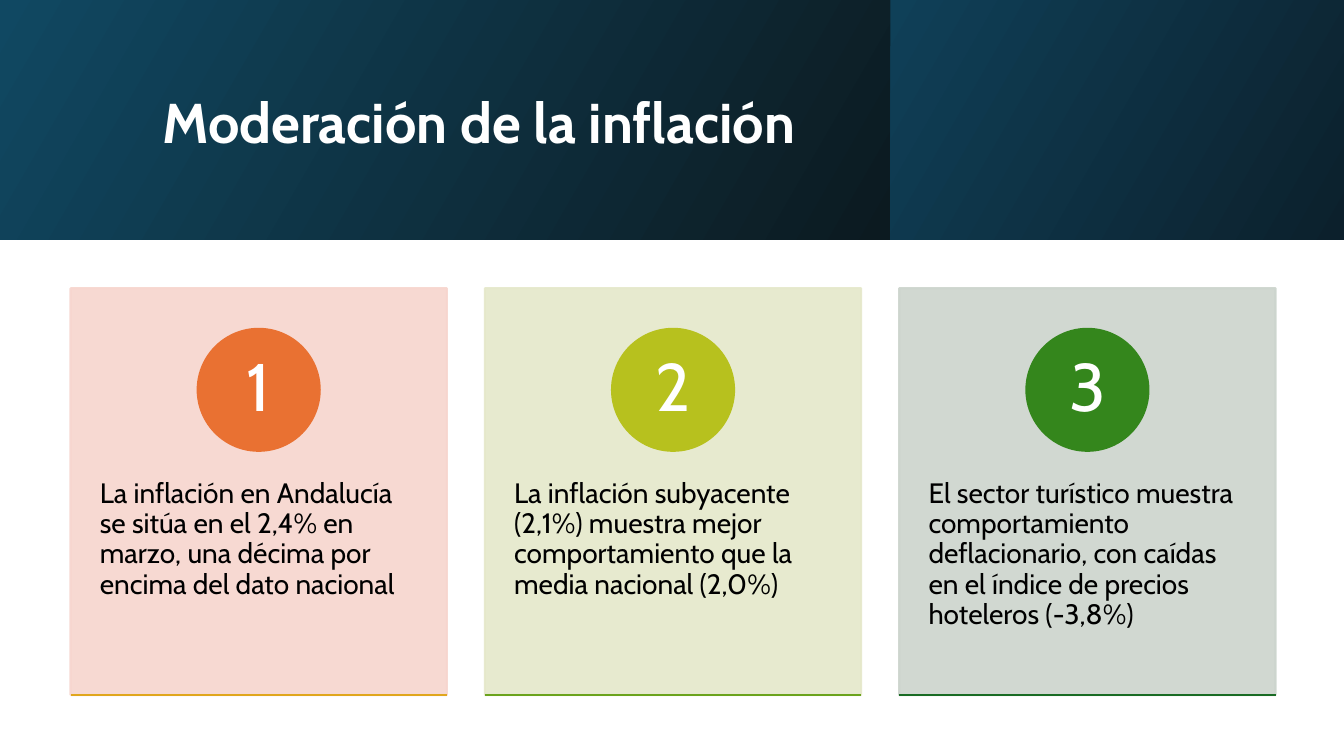
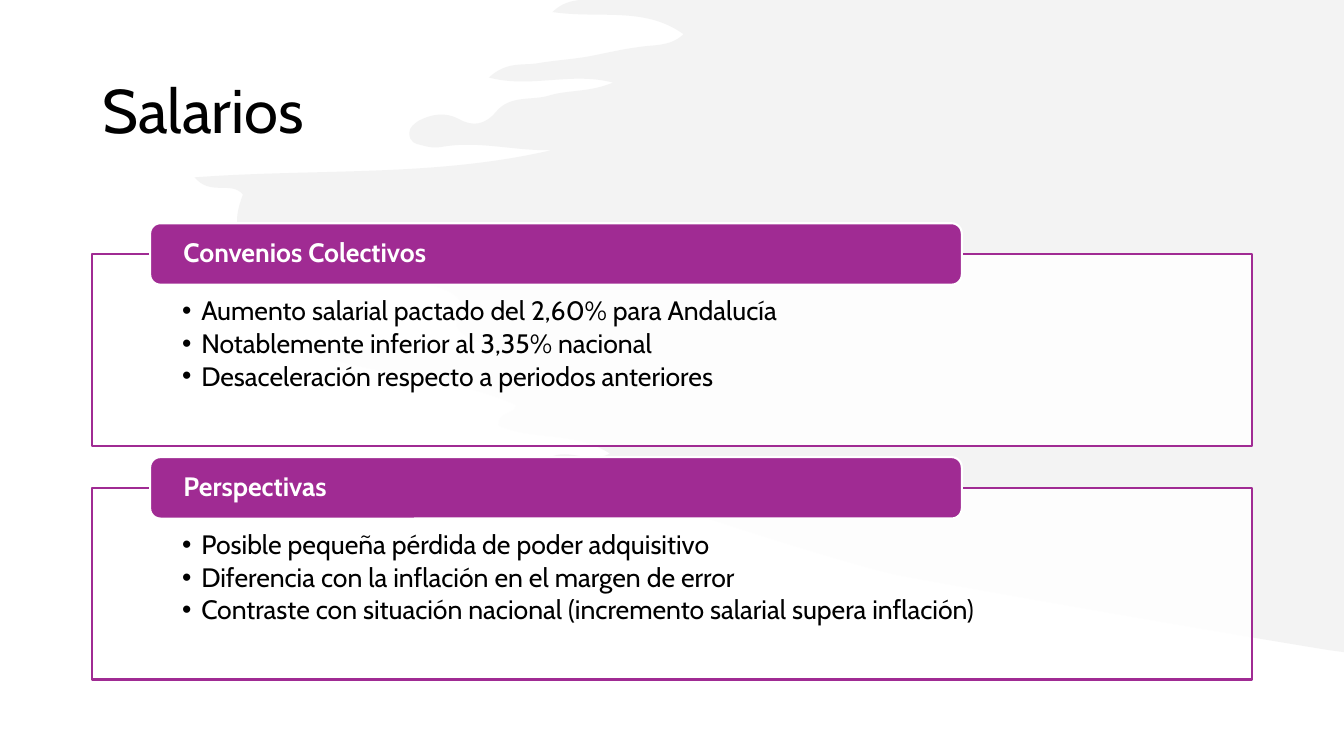
from lxml.etree import SubElement
from pptx import Presentation
from pptx.dml.color import RGBColor
from pptx.enum.shapes import MSO_CONNECTOR, MSO_SHAPE
from pptx.enum.text import MSO_ANCHOR, PP_ALIGN
from pptx.oxml.ns import qn
from pptx.util import Emu, Inches, Pt


class Theme:
    font, bullet_font = "Cabin", "Arial"
    white, black = "FFFFFF", "000000"
    purple, brush = "A02B93", "E8E8E8"
    card_size, number_size, list_size = 20, 48, 19
    line = 1.5
    leading = 0.9


# Content
INFLATION = {
    "title": "Moderación de la inflación",
    # text, card colour, circle colour, base line colour
    "cards": [
        ("La inflación en Andalucía se sitúa en el 2,4% en marzo, una décima "
         "por encima del dato nacional", "F7D5CE", "E97132", "E0A61D"),
        ("La inflación subyacente (2,1%) muestra mejor comportamiento que la "
         "media nacional (2,0%)", "E5E8CA", "B7C11E", "6BA31D"),
        ("El sector turístico muestra comportamiento deflacionario, con caídas "
         "en el índice de precios hoteleros (-3,8%)",
         "CCD4CD", "34861C", "196B24"),
    ],
}
WAGES = {
    "title": "Salarios",
    "sections": [
        ("Convenios Colectivos", [
            "Aumento salarial pactado del 2,60% para Andalucía",
            "Notablemente inferior al 3,35% nacional",
            "Desaceleración respecto a periodos anteriores"]),
        ("Perspectivas", [
            "Posible pequeña pérdida de poder adquisitivo",
            "Diferencia con la inflación en el margen de error",
            "Contraste con situación nacional (incremento salarial supera "
            "inflación)"]),
    ],
}
# Left, width, first colour, last colour of the title band's panels
PANELS = [(0, 66.25, "104862", "0C1A20"), (66.25, 33.75, "0F4058", "0C202C")]
BAND_HEIGHT = 31.7

# Brush stroke in inches: start, then curves (two controls and an end)
BRUSH_START = (5.75, 0)
BRUSH_CURVES = [
    (5.67, 0.01, 5.57, 0.03, 5.48, 0.12), (5.95, 0.19, 6.39, 0.06, 6.78, 0.34),
    (6.64, 0.47, 6.48, 0.44, 6.32, 0.47), (6.16, 0.49, 6, 0.53, 5.84, 0.56),
    (5.67, 0.59, 5.49, 0.6, 5.32, 0.63), (5.18, 0.65, 5.02, 0.61, 4.85, 0.77),
    (5.27, 0.88, 5.66, 0.71, 6.08, 0.82), (5.84, 0.92, 5.63, 0.89, 5.44, 0.95),
    (5.27, 1, 5.06, 0.94, 4.92, 1.11), (4.81, 1.24, 4.69, 1.26, 4.55, 1.18),
    (4.42, 1.11, 4.28, 1.13, 4.15, 1.2), (4.11, 1.23, 4.06, 1.26, 4.06, 1.32),
    (4.06, 1.41, 4.12, 1.43, 4.18, 1.44), (4.24, 1.46, 4.31, 1.47, 4.37, 1.46),
    (4.74, 1.39, 5.1, 1.5, 5.47, 1.49), (4.31, 1.76, 3.14, 1.67, 1.93, 1.76),
    (2.09, 1.95, 2.29, 1.79, 2.41, 1.93), (2.3, 2.22, 2.34, 2.37, 2.58, 2.39),
    (2.8, 2.41, 3.04, 2.31, 3.16, 2.65), (3.2, 2.76, 3.41, 2.73, 3.55, 2.75),
    (3.84, 2.79, 4.14, 2.75, 4.42, 2.88), (4.53, 2.93, 4.6, 2.97, 4.55, 3.11),
    (4.49, 3.25, 4.56, 3.3, 4.66, 3.36), (4.73, 3.4, 4.83, 3.39, 4.89, 3.52),
    (4.28, 3.5, 3.69, 3.4, 3.09, 3.5), (3.75, 3.74, 4.47, 3.73, 5.12, 4.02),
    (5.1, 4.12, 4.95, 4.07, 4.94, 4.22), (5.28, 4.38, 5.69, 4.27, 6.05, 4.5),
    (5.84, 4.61, 5.65, 4.44, 5.45, 4.54), (5.52, 4.69, 8.4, 5.61, 8.92, 5.71),
    (9.78, 5.87, 11.95, 6.25, 13.18, 6.45),
]
BRUSH_END = [(13.33, 6.47), (13.33, 0)]

prs = Presentation()
prs.slide_width, prs.slide_height = Inches(13.33), Inches(7.5)


def at(x, y, w, h):
    """Turn percentages of the slide into lengths."""
    sw, sh = prs.slide_width / 100, prs.slide_height / 100
    return Emu(int(x * sw)), Emu(int(y * sh)), Emu(int(w * sw)), Emu(int(h * sh))


def rgb(color):
    return RGBColor.from_string(color)


def paint(sp, fill, line=None, alpha=100):
    sp.shadow.inherit = False
    sp.fill.solid()
    sp.fill.fore_color.rgb = rgb(fill)
    if line:
        sp.line.color.rgb = rgb(line)
        sp.line.width = Pt(Theme.line)
    else:
        sp.line.fill.background()
    if alpha < 100:
        for color in sp._element.spPr.iter(qn("a:srgbClr")):
            if color.get("val") == fill:
                SubElement(color, qn("a:alpha"), val=str(alpha * 1000))
    return sp


def add_box(slide, kind, place, fill, **look):
    return paint(slide.shapes.add_shape(kind, *at(*place)), fill, **look)


def add_text(slide, place, *texts, size, color=Theme.black, bold=False, after=0,
             align=PP_ALIGN.LEFT, anchor=MSO_ANCHOR.MIDDLE,
             inset=(0.1, 0.05, 0.1, 0.05), bullet=None):
    tf = slide.shapes.add_textbox(*at(*place)).text_frame
    tf.word_wrap = True
    tf.vertical_anchor = anchor
    (tf.margin_left, tf.margin_top,
     tf.margin_right, tf.margin_bottom) = map(Inches, inset)
    for i, text in enumerate(texts):
        p = tf.add_paragraph() if i else tf.paragraphs[0]
        p.alignment, p.line_spacing = align, Theme.leading
        p.space_after = Pt(size * after)
        if bullet:
            p.level = 1
            pPr = p._p.get_or_add_pPr()
            pPr.set("marL", str(Inches(0.19)))
            pPr.set("indent", str(-Inches(0.19)))
            SubElement(pPr, qn("a:buFont"), typeface=Theme.bullet_font)
            SubElement(pPr, qn("a:buChar"), char=bullet)
        r = p.add_run()
        r.text = text
        r.font.name, r.font.size, r.font.bold = Theme.font, Pt(size), bold
        r.font.color.rgb = rgb(color)


def add_rule(slide, x, y, w, color):
    left, top, width, _ = at(x, y, w, 0)
    rule = slide.shapes.add_connector(
        MSO_CONNECTOR.STRAIGHT, left, top, left + width, top)
    rule.line.color.rgb, rule.line.width = rgb(color), Pt(Theme.line)
    SubElement(rule._element.spPr, qn("a:effectLst"))


def add_brush(slide):
    ends = [c[4:] for c in BRUSH_CURVES] + BRUSH_END
    builder = slide.shapes.build_freeform(*map(Inches, BRUSH_START))
    builder.add_line_segments([tuple(map(Inches, end)) for end in ends])
    sp = paint(builder.convert_to_shape(), Theme.brush, alpha=50)
    # Bend the segments: put two control points before each curve's end
    segments = list(sp._element.iter(qn("a:lnTo")))
    for segment, (x1, y1, x2, y2, *_) in zip(segments, BRUSH_CURVES):
        segment.tag = qn("a:cubicBezTo")
        for i, (x, y) in enumerate([(x1, y1), (x2, y2)]):
            control = SubElement(segment, qn("a:pt"),
                                 x=str(Inches(x) - sp.left),
                                 y=str(Inches(y) - sp.top))
            segment.insert(i, control)


def add_band(slide):
    for x, w, *colors in PANELS:
        sp = add_box(slide, MSO_SHAPE.RECTANGLE, (x, 0, w, BAND_HEIGHT),
                     colors[0])
        sp.fill.gradient()
        sp.fill.gradient_angle = 330
        for stop, color, position in zip(sp.fill.gradient_stops, colors, (0, 1)):
            stop.color.rgb, stop.position = rgb(color), position


def build_inflation(slide):
    add_band(slide)
    add_text(slide, (11.33, 5.07, 79.75, 22.93), INFLATION["title"],
             size=40, color=Theme.white, bold=True)
    left, top, width, height, gap = 5.25, 38.13, 28, 53.8, 2.83
    text_top, text_height = 58.6, 32.27
    circle_w, circle_h, circle_top = 9.08, 16.13, 43.5
    number_w, number_h = 6.45, 11.47
    for i, (text, card, circle, rule) in enumerate(INFLATION["cards"]):
        x = left + i * (width + gap)
        center, middle = x + width / 2, circle_top + circle_h / 2
        add_box(slide, MSO_SHAPE.RECTANGLE, (x, top, width, height),
                card, line=card, alpha=90)
        add_text(slide, (x, text_top, width, text_height), text,
                 size=Theme.card_size, after=0.35, anchor=MSO_ANCHOR.TOP,
                 inset=(0.29, 0.36, 0.29, 0.36))
        add_box(slide, MSO_SHAPE.OVAL,
                (center - circle_w / 2, circle_top, circle_w, circle_h),
                circle, line=circle)
        add_text(slide, (center - number_w / 2, middle - number_h / 2,
                         number_w, number_h), str(i + 1),
                 size=Theme.number_size, color=Theme.white, after=0.35,
                 align=PP_ALIGN.CENTER, inset=(0.09, 0.01, 0.09, 0.01))
        add_rule(slide, x, top + height, width, rule)


def build_wages(slide):
    add_brush(slide)
    left, width = 6.87, 86.28
    add_text(slide, (left, 5.33, width, 19.33), WAGES["title"], size=44)
    top, height, pitch = 33.63, 25.33, 30.93
    for i, (heading, items) in enumerate(WAGES["sections"]):
        y = top + i * pitch
        # Frame with its list
        frame = (left, y, width, height)
        add_box(slide, MSO_SHAPE.RECTANGLE, frame, Theme.white,
                line=Theme.purple, alpha=90)
        add_text(slide, frame, *items, size=Theme.list_size, after=0.15,
                 bullet="•", anchor=MSO_ANCHOR.TOP,
                 inset=(0.89, 0.43, 0.89, 0.15))
        # Heading tab over the frame's top edge
        add_box(slide, MSO_SHAPE.ROUNDED_RECTANGLE, (11.17, y - 4.1, 60.4, 8.13),
                Theme.purple, line=Theme.white)
        add_text(slide, (11.4, y - 3.7, 59.94, 7.33), heading,
                 size=Theme.list_size, color=Theme.white, bold=True,
                 after=0.35, inset=(0.3, 0, 0.3, 0))


def main():
    for build in (build_inflation, build_wages):
        build(prs.slides.add_slide(prs.slide_layouts[6]))
    prs.save("out.pptx")


if __name__ == "__main__":
    main()
